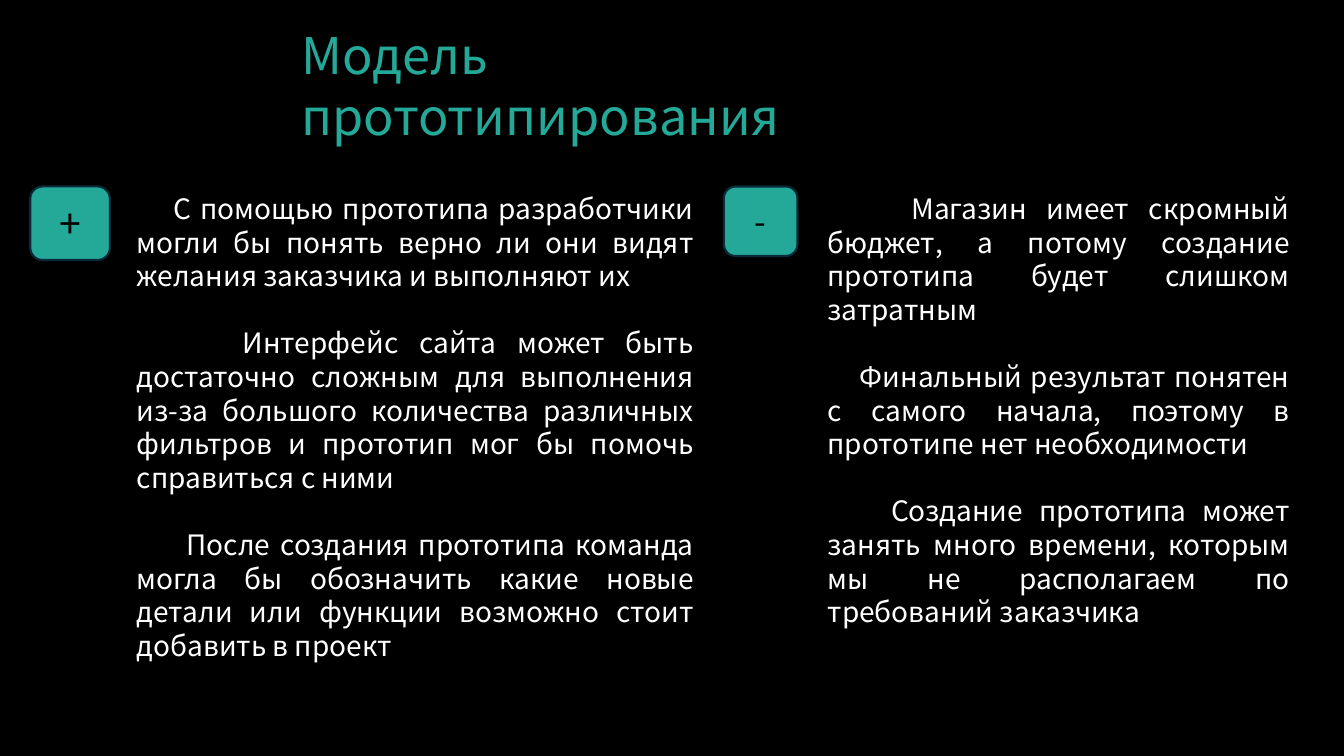
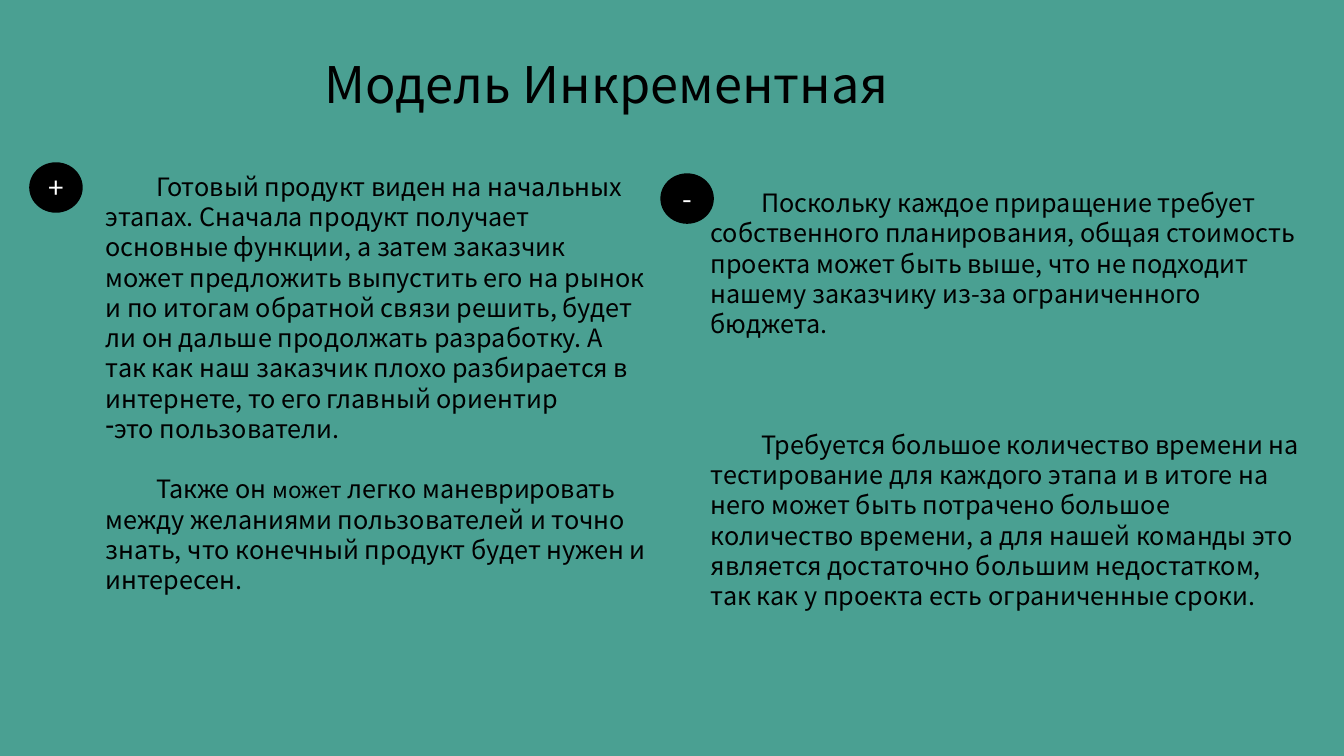
import dataclasses

import lxml.etree
import pptx
import pptx.dml.color
import pptx.enum.shapes
import pptx.enum.text
import pptx.oxml.ns
import pptx.util

Inches = pptx.util.Inches
Pt = pptx.util.Pt
Align = pptx.enum.text.PP_ALIGN
Preset = pptx.enum.shapes.MSO_SHAPE


@dataclasses.dataclass(frozen=True)
class Theme:
    font: str = "Noto Sans CJK KR"
    black: str = "000000"
    white: str = "FFFFFF"
    teal: str = "24A999"
    sea: str = "4AA092"
    navy: str = "092A39"
    title: int = 36
    large: int = 20
    body: int = 18
    small: int = 16
    big_sign: int = 28
    sign: int = 24
    outline: float = 1.5
    text_outline: float = 0.75


@dataclasses.dataclass(frozen=True)
class Item:
    spans: tuple
    indent: float = 0
    before: float = 0
    bullet: str = ""


class SlideWriter:
    """Draws the titles, signs and columns of a deck in one style."""

    def __init__(self, deck, theme):
        self.deck = deck
        self.theme = theme
        self.page = None

    def color(self, value):
        return pptx.dml.color.RGBColor.from_string(value)

    def new_page(self, background):
        self.page = self.deck.slides.add_slide(self.deck.slide_layouts[6])
        fill = self.page.background.fill
        fill.solid()
        fill.fore_color.rgb = self.color(background)

    def span(self, para, text, size, color):
        span = para.add_run()
        span.text = text
        span.font.name = self.theme.font
        span.font.size = Pt(size)
        span.font.color.rgb = self.color(color)
        return span

    def outline(self, span, color):
        line = lxml.etree.Element(
            pptx.oxml.ns.qn("a:ln"), w=str(Pt(self.theme.text_outline)))
        fill = lxml.etree.SubElement(line, pptx.oxml.ns.qn("a:solidFill"))
        lxml.etree.SubElement(fill, pptx.oxml.ns.qn("a:srgbClr"), val=color)
        span.font._element.insert(0, line)

    def text_box(self, left, top, width, height):
        box = self.page.shapes.add_textbox(*map(Inches, (left, top, width, height)))
        box.text_frame.word_wrap = True
        box.text_frame.auto_size = pptx.enum.text.MSO_AUTO_SIZE.SHAPE_TO_FIT_TEXT
        return box.text_frame

    def title(self, place, text, color, outlined=""):
        para = self.text_box(*place).paragraphs[0]
        self.span(para, text, self.theme.title, color)
        if outlined:
            self.outline(self.span(para, outlined, self.theme.title, color), color)

    def sign(self, preset, place, text, size, fill, line, color):
        shape = self.page.shapes.add_shape(preset, *map(Inches, place))
        shape.shadow.inherit = False
        shape.fill.solid()
        shape.fill.fore_color.rgb = self.color(fill)
        shape.line.color.rgb = self.color(line)
        shape.line.width = Pt(self.theme.outline)
        frame = shape.text_frame
        frame.vertical_anchor = pptx.enum.text.MSO_ANCHOR.MIDDLE
        para = frame.paragraphs[0]
        para.alignment = Align.CENTER
        self.span(para, text, size, color)

    def column(self, place, items, size, color, align):
        frame = self.text_box(*place)
        for index, item in enumerate(items):
            para = frame.add_paragraph() if index else frame.paragraphs[0]
            para.alignment = align
            para.space_before = Pt(item.before)
            properties = para._p.get_or_add_pPr()
            properties.set("marL", "0")
            properties.set("indent", str(Inches(item.indent)))
            if item.bullet:
                lxml.etree.SubElement(
                    properties, pptx.oxml.ns.qn("a:buChar"), char=item.bullet)
            for text, *own_size in item.spans:
                self.span(para, text, own_size[0] if own_size else size, color)


def prototype_page(writer):
    theme = writer.theme
    top, gap = 1.85, 24
    writer.new_page(theme.black)
    writer.title((2.89, 0.19, 5.83, 1.31), "Модель ", theme.teal, "прототипирования")
    for place, text, size in (
        ((0.3, top, 0.79, 0.73), "+", theme.big_sign),
        ((7.18, top, 0.73, 0.69), "-", theme.sign),
    ):
        writer.sign(Preset.ROUNDED_RECTANGLE, place, text, size,
                    theme.teal, theme.navy, theme.black)
    pros = (
        (0.36, "С помощью прототипа разработчики могли бы понять верно ли они "
               "видят желания заказчика и выполняют их"),
        (1.05, "Интерфейс сайта может быть достаточно сложным для выполнения "
               "из-за большого количества различных фильтров и прототип мог бы "
               "помочь справиться с ними"),
        (0.49, "После создания прототипа команда могла бы обозначить какие новые "
               "детали или функции возможно стоит добавить в проект"),
    )
    cons = (
        (0.83, "Магазин имеет скромный бюджет, а потому создание прототипа будет "
               "слишком затратным"),
        (0.32, "Финальный результат понятен с самого начала, поэтому в прототипе "
               "нет необходимости"),
        (0.63, "Создание прототипа может занять много времени, которым мы не "
               "располагаем по требований заказчика"),
    )
    for place, texts in (
        ((8.11, top, 4.78, 5.49), cons),
        ((1.26, top, 5.72, 5.12), pros),
    ):
        items = [Item(((text,),), indent, gap if index else 0)
                 for index, (indent, text) in enumerate(texts)]
        writer.column(place, items, theme.large, theme.white, Align.JUSTIFY)


def increment_page(writer):
    theme = writer.theme
    indent, gap = 0.5, 21.6
    writer.new_page(theme.sea)
    writer.title((3.12, 0.48, 6.48, 0.71), "Модель Инкрементная", theme.black)
    for left, top, text in ((0.3, 1.62, "+"), (6.56, 1.73, "-")):
        writer.sign(Preset.OVAL, (left, top, 0.51, 0.48), text, theme.large,
                    theme.black, theme.black, theme.white)
    pros = (
        Item((("Готовый продукт виден на начальных этапах. Сначала продукт получает "
               "основные функции, а затем заказчик может предложить выпустить его на "
               "рынок и по итогам обратной связи решить, будет ли он дальше "
               "продолжать разработку. А так как наш заказчик плохо разбирается в "
               "интернете, то его главный ориентир",),), indent),
        Item((("это пользователи.",),), bullet="-"),
        Item((("Также он ",), ("может", theme.small),
              (" легко маневрировать между желаниями пользователей и точно знать, "
               "что конечный продукт будет нужен и интересен.",)), indent, gap),
    )
    cons = (
        Item((("Поскольку каждое приращение требует собственного планирования, общая "
               "стоимость проекта может быть выше, что не подходит нашему заказчику "
               "из-за ограниченного бюджета.",),), indent),
        Item((("Требуется большое количество времени на тестирование для каждого "
               "этапа и в итоге на него может быть потрачено большое количество "
               "времени, а для нашей команды это является достаточно большим "
               "недостатком, так как у проекта есть ограниченные сроки.",),),
             indent, 3 * gap),
    )
    for place, items in (
        ((0.95, 1.65, 5.58, 4.68), pros),
        ((6.95, 1.81, 6.11, 4.68), cons),
    ):
        writer.column(place, items, theme.body, theme.black, Align.LEFT)


def main():
    deck = pptx.Presentation()
    deck.slide_width = Inches(13.33)
    deck.slide_height = Inches(7.5)
    writer = SlideWriter(deck, Theme())
    prototype_page(writer)
    increment_page(writer)
    deck.save("out.pptx")


if __name__ == "__main__":
    main()
